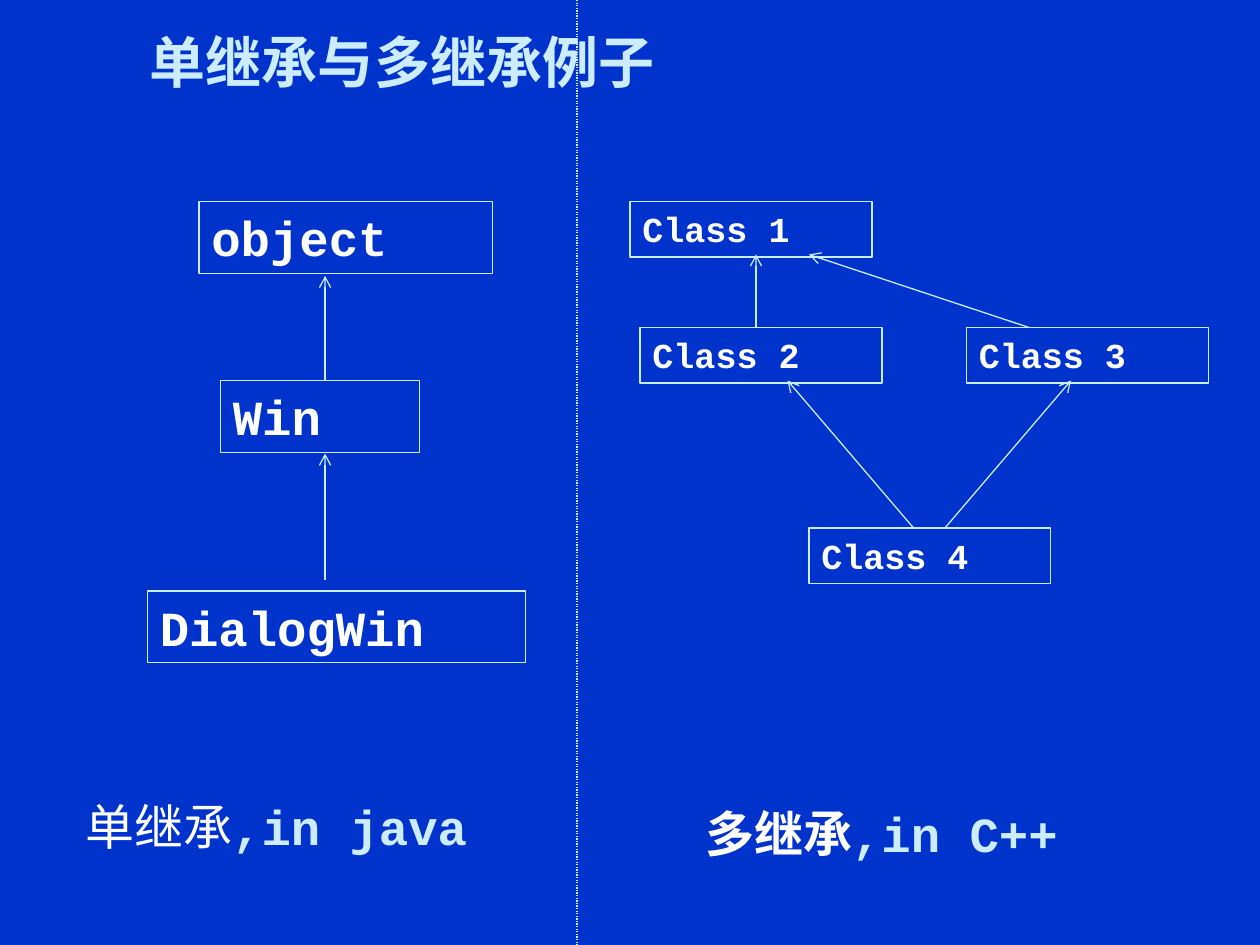
from lxml import etree
from pptx import Presentation
from pptx.dml.color import RGBColor
from pptx.enum.dml import MSO_LINE
from pptx.enum.shapes import MSO_CONNECTOR, MSO_SHAPE
from pptx.enum.text import MSO_ANCHOR, MSO_AUTO_SIZE, PP_ALIGN
from pptx.oxml.ns import qn
from pptx.util import Inches, Pt

RECT = MSO_SHAPE.RECTANGLE
LINE = MSO_CONNECTOR.STRAIGHT
DOTS = MSO_LINE.ROUND_DOT
LEFT = PP_ALIGN.LEFT
TOP, BASE = MSO_ANCHOR.TOP, MSO_ANCHOR.BOTTOM
GROW = MSO_AUTO_SIZE.SHAPE_TO_FIT_TEXT

HEX = {"back": "0033CC", "pale": "CCECFF", "white": "FFFFFF"}
MONO, HAN = "Courier New", "Noto Sans CJK SC"
INSET = {
    "margin_left": Inches(0.1), "margin_right": Inches(0.1),
    "margin_top": Inches(0.05), "margin_bottom": Inches(0.05),
}

SINGLE = {
    "size": 28, "high": 0.57,
    "nodes": [("object", 1, 0, 2.33), ("Win", 1.17, 1.42, 1.58),
              ("DialogWin", 0.59, 3.09, 3)],
    "links": [(2, 0.59, 2, 1.42), (2, 2, 2, 3)],
    "label": (0, 4.67, "单继承", ",in java", False),
}
MULTI = {
    "size": 20, "high": 0.44,
    "nodes": [("Class 1", 0, 0, 1.92), ("Class 2", 0.08, 1, 1.92),
              ("Class 3", 2.67, 1, 1.92), ("Class 4", 1.42, 2.59, 1.92)],
    "links": [(1, 0.42, 1, 1), (1.42, 0.42, 3.17, 1),
              (1.25, 1.42, 2.25, 2.59), (3.5, 1.42, 2.5, 2.59)],
    "label": (0.5, 4.73, "多继承", ",in C++", True),
}


def color(name):
    return RGBColor.from_string(HEX[name])


def apply(target, values):
    for key, value in values.items():
        setattr(target, key, value)


def write(shape, runs, size, anchor=TOP):
    frame = shape.text_frame
    apply(frame, {**INSET, "word_wrap": True, "auto_size": GROW,
                  "vertical_anchor": anchor})
    para = frame.paragraphs[0]
    apply(para, {"alignment": LEFT, "space_before": Pt(0)})
    for text, face, tint, bold in runs:
        run = para.add_run()
        run.text = text
        apply(run.font, {"name": face, "size": Pt(size), "bold": bold})
        run.font.color.rgb = color(tint)
        east = etree.SubElement(run.font._element, qn("a:ea"))
        east.set("typeface", face)


def stroke(line):
    line.color.rgb = color("pale")
    line.width = Pt(0.75)


def add_line(slide, ends):
    link = slide.shapes.add_connector(LINE, *map(Inches, ends))
    stroke(link.line)
    etree.SubElement(link._element.spPr, qn("a:effectLst"))
    return link


def add_arrow(slide, ends):
    link = add_line(slide, ends)
    head = etree.SubElement(link.line._get_or_add_ln(), qn("a:headEnd"))
    head.set("type", "arrow")


def add_node(slide, text, box, size):
    node = slide.shapes.add_shape(RECT, *map(Inches, box))
    node.shadow.inherit = False
    node.fill.background()
    stroke(node.line)
    write(node, [(text, MONO, "white", True)], size)


def add_title(slide, box):
    title = slide.shapes.title
    apply(title, dict(zip(("left", "top", "width", "height"),
                          map(Inches, box))))
    write(title, [("单继承与多继承例子", HAN, "pale", True)], 32, BASE)


def add_tree(slide, left, top, tree):
    for text, x, y, wide in tree["nodes"]:
        box = (left + x, top + y, wide, tree["high"])
        add_node(slide, text, box, tree["size"])
    for x1, y1, x2, y2 in tree["links"]:
        add_arrow(slide, (left + x1, top + y1, left + x2, top + y2))
    x, y, kind, lang, bold = tree["label"]
    box = (left + x, top + y, 3.58, 0.57)
    label = slide.shapes.add_textbox(*map(Inches, box))
    write(label, [(kind, HAN, "white", bold), (lang, MONO, "pale", True)], 28)


def main():
    deck = Presentation()
    apply(deck, {"slide_width": Inches(10), "slide_height": Inches(7.5)})
    slide = deck.slides.add_slide(deck.slide_layouts.get_by_name("Title Only"))
    fill = slide.background.fill
    fill.solid()
    fill.fore_color.rgb = color("back")
    add_title(slide, (1.09, 0.16, 4.4, 0.64))
    add_tree(slide, 0.58, 1.6, SINGLE)
    add_tree(slide, 5, 1.6, MULTI)
    add_line(slide, (4.58, 0, 4.58, 7.5)).line.dash_style = DOTS
    deck.save("out.pptx")


if __name__ == "__main__":
    main()
